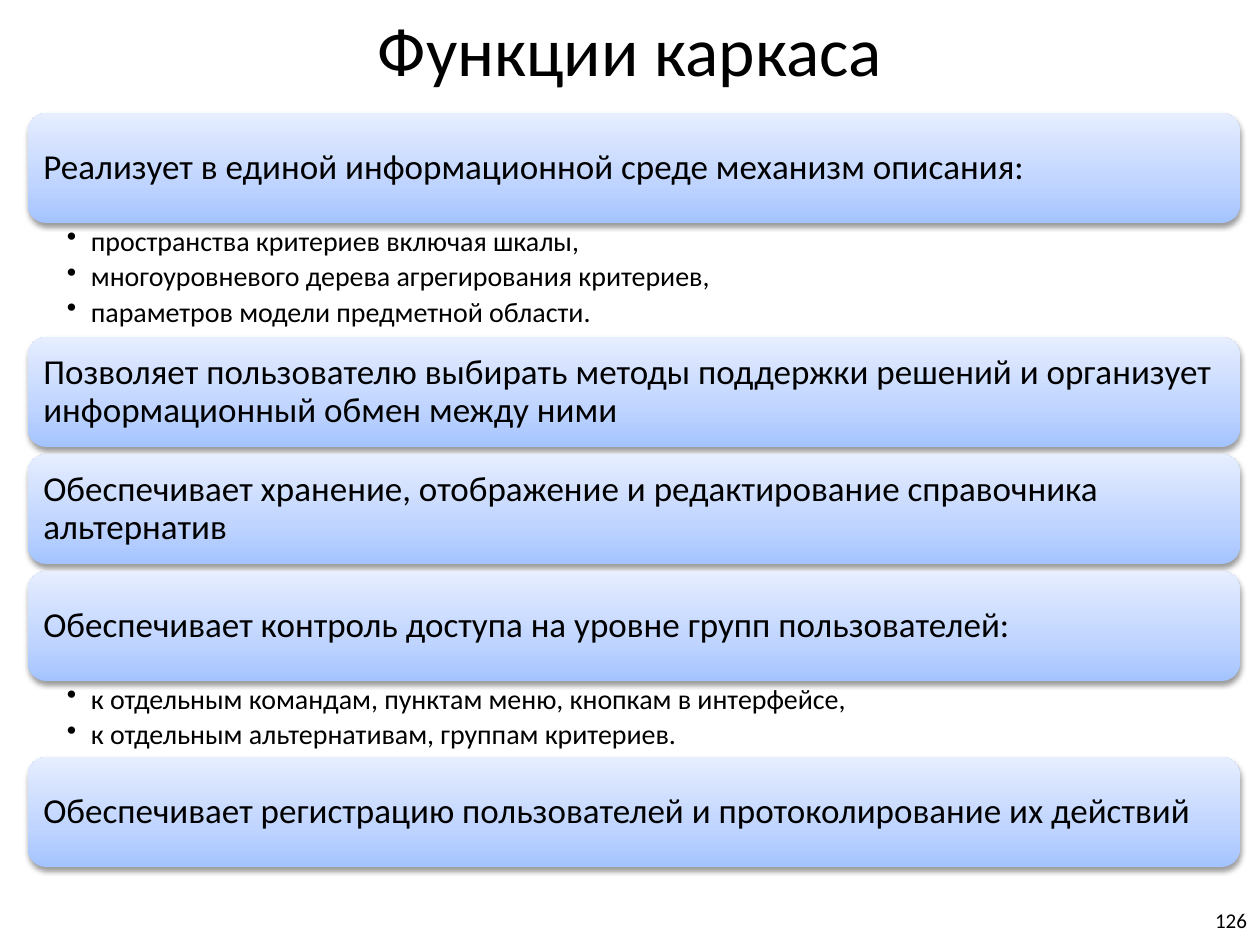
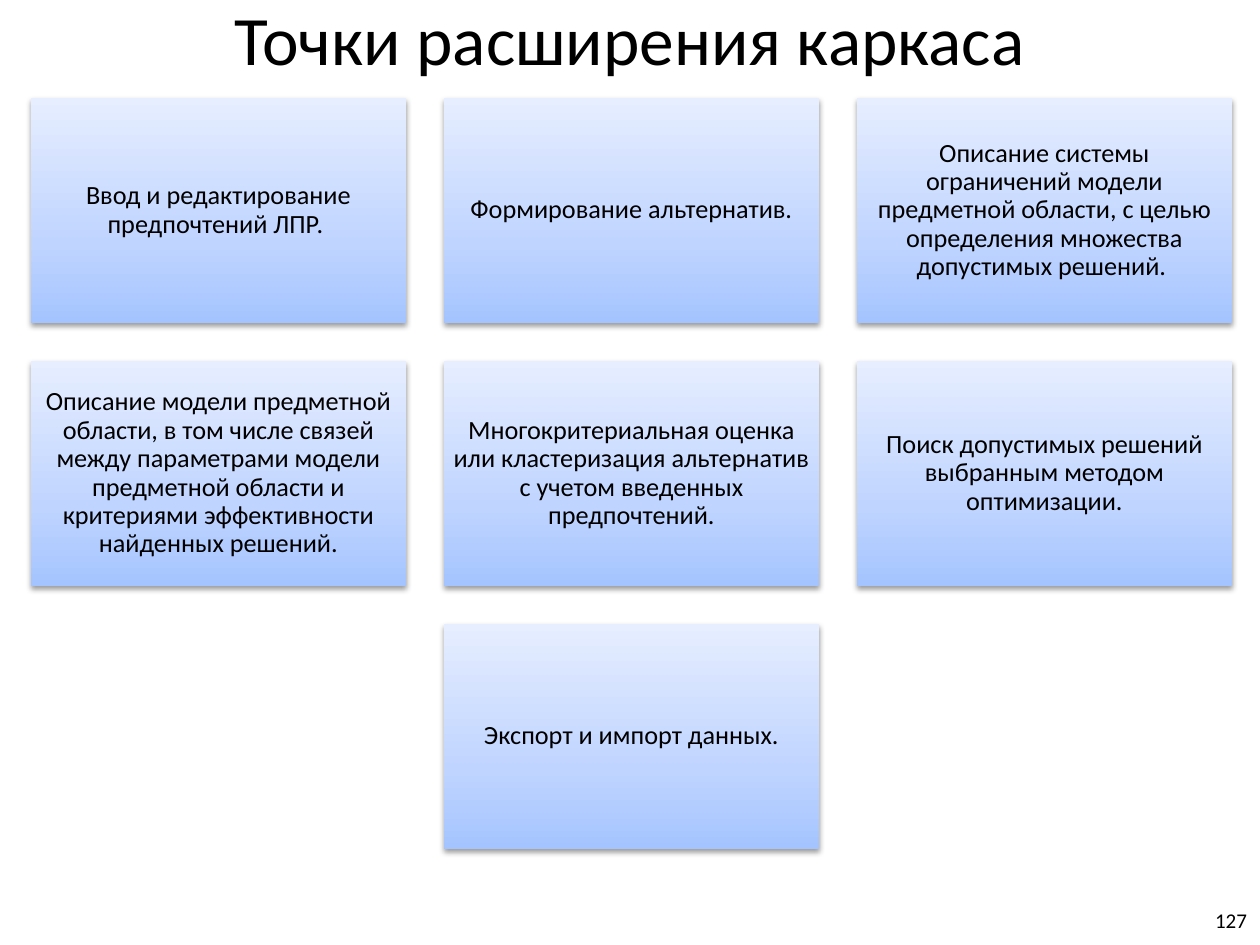
"""Build two slides on the functions and the extension points of a framework."""
from pptx import Presentation
from pptx.dml.color import RGBColor
from pptx.enum.shapes import MSO_SHAPE
from pptx.enum.text import MSO_ANCHOR, MSO_AUTO_SIZE, PP_ALIGN
from pptx.oxml import parse_xml
from pptx.util import Pt

LEFT, CENTER, RIGHT = PP_ALIGN.LEFT, PP_ALIGN.CENTER, PP_ALIGN.RIGHT
TOP, MIDDLE = MSO_ANCHOR.TOP, MSO_ANCHOR.MIDDLE
NO_FIT = MSO_AUTO_SIZE.NONE
RECT, ROUND_RECT = MSO_SHAPE.RECTANGLE, MSO_SHAPE.ROUNDED_RECTANGLE

SCALE = 914400 / 126
THEME = {
    "font": "Calibri",
    "text": RGBColor(0, 0, 0),
    "stops": [(0, "A4C4FF"), (35, "BFD4FF"), (100, "E6EEFF")],
    "shadow": "000000",
    "title": 39.6,
    "band": 20,
    "bullet": 16,
    "tile": 15,
    "number": 12,
}
NS = 'xmlns:a="http://schemas.openxmlformats.org/drawingml/2006/main"'
STOPS = "".join(
    f'<a:gs pos="{pos * 1000}"><a:srgbClr val="{color}"/></a:gs>'
    for pos, color in THEME["stops"]
)
CARD_XML = [
    f'<a:gradFill {NS} rotWithShape="1"><a:gsLst>{STOPS}</a:gsLst>'
    '<a:lin ang="16200000" scaled="1"/></a:gradFill>',
    f"<a:ln {NS}><a:noFill/></a:ln>",
    f'<a:effectLst {NS}><a:outerShdw blurRad="40000" dist="20000" dir="5400000" '
    f'rotWithShape="0"><a:srgbClr val="{THEME["shadow"]}"><a:alpha val="38000"/>'
    "</a:srgbClr></a:outerShdw></a:effectLst>",
]


def px(*values):
    return [round(v * SCALE) for v in values]


def write(sp, lines, role, align=LEFT, anchor=MIDDLE, insets=(13, 6, 13, 6), spacing=0.9):
    tf = sp.text_frame
    left, top, right, bottom = px(*insets)
    frame = {
        "word_wrap": True, "auto_size": NO_FIT, "vertical_anchor": anchor,
        "margin_left": left, "margin_top": top,
        "margin_right": right, "margin_bottom": bottom,
    }
    for name, value in frame.items():
        setattr(tf, name, value)
    for i, line in enumerate(lines):
        p = tf.add_paragraph() if i else tf.paragraphs[0]
        if role == "bullet":
            pPr = p._p.get_or_add_pPr()
            indent, = px(24)
            pPr.set("marL", str(indent))
            pPr.set("indent", str(-indent))
            pPr.append(parse_xml(f'<a:buChar {NS} char="•"/>'))
            p.level = 1
            p.space_after = Pt(3)
        p.alignment, p.line_spacing = align, spacing
        r = p.add_run()
        r.text = line
        font = {"name": THEME["font"], "size": Pt(THEME[role])}
        for name, value in font.items():
            setattr(r.font, name, value)
        r.font.color.rgb = THEME["text"]


prs = Presentation()
prs.slide_width, prs.slide_height = px(1260, 945)

functions = [
    ("Реализует в единой информационной среде механизм описания:", [
        "пространства критериев включая шкалы,",
        "многоуровневого дерева агрегирования критериев,",
        "параметров модели предметной области.",
    ]),
    ("Позволяет пользователю выбирать методы поддержки решений и организует "
     "информационный обмен между ними", []),
    ("Обеспечивает хранение, отображение и редактирование справочника альтернатив", []),
    ("Обеспечивает контроль доступа на уровне групп пользователей:", [
        "к отдельным командам, пунктам меню, кнопкам в интерфейсе,",
        "к отдельным альтернативам, группам критериев.",
    ]),
    ("Обеспечивает регистрацию пользователей и протоколирование их действий", []),
]
extension_points = [
    ["Ввод и редактирование предпочтений ЛПР. ",
     "Формирование альтернатив.",
     "Описание системы ограничений модели предметной области, с целью определения "
     "множества допустимых решений. "],
    ["Описание модели предметной области, в том числе связей между параметрами модели "
     "предметной области и критериями эффективности найденных решений.",
     "Многокритериальная оценка или кластеризация альтернатив с учетом введенных "
     "предпочтений.",
     "Поиск допустимых решений выбранным методом оптимизации."],
    ["Экспорт и импорт данных."],
]

bands, bullets, tiles = [], [], []
y = 113
for heading, items in functions:
    bands.append((heading, 28, y, 1212, 110))
    y += 110
    if items:
        bullets.append((items, 28, y, 1212, 38 * len(items)))
    y += 38 * len(items) or 7
for row, texts in enumerate(extension_points):
    first = (3 - len(texts)) / 2
    for col, text in enumerate(texts):
        tiles.append((text, 31 + round(413 * (first + col)), 98 + 263 * row, 375, 225))

band_style = {"role": "band", "insets": (10, 10, 10, 10)}
tile_style = {"role": "tile", "align": CENTER, "insets": (7, 7, 7, 7)}
slides = [
    ("Функции каркаса", (63, 0, 1134, 97), "126", ROUND_RECT, bands, band_style, bullets),
    ("Точки расширения каркаса", (63, 14, 1134, 47), "127", RECT, tiles, tile_style, []),
]
for title, title_box, number, shape, cards, style, lists in slides:
    s = prs.slides.add_slide(prs.slide_layouts[5])
    sp = s.shapes.title
    sp.left, sp.top, sp.width, sp.height = px(*title_box)
    write(sp, [title], "title", CENTER, spacing=1.0)
    for text, *box in cards:
        sp = s.shapes.add_shape(shape, *px(*box))
        for xml in CARD_XML:
            sp._element.spPr.append(parse_xml(xml))
        write(sp, [text], **style)
    for items, *box in lists:
        sp = s.shapes.add_textbox(*px(*box))
        write(sp, items, "bullet", anchor=TOP, insets=(39, 4, 20, 4))
    sp = s.shapes.add_textbox(*px(966, 895, 294, 50))
    write(sp, [number], "number", RIGHT, spacing=1.0)

prs.save("out.pptx")
